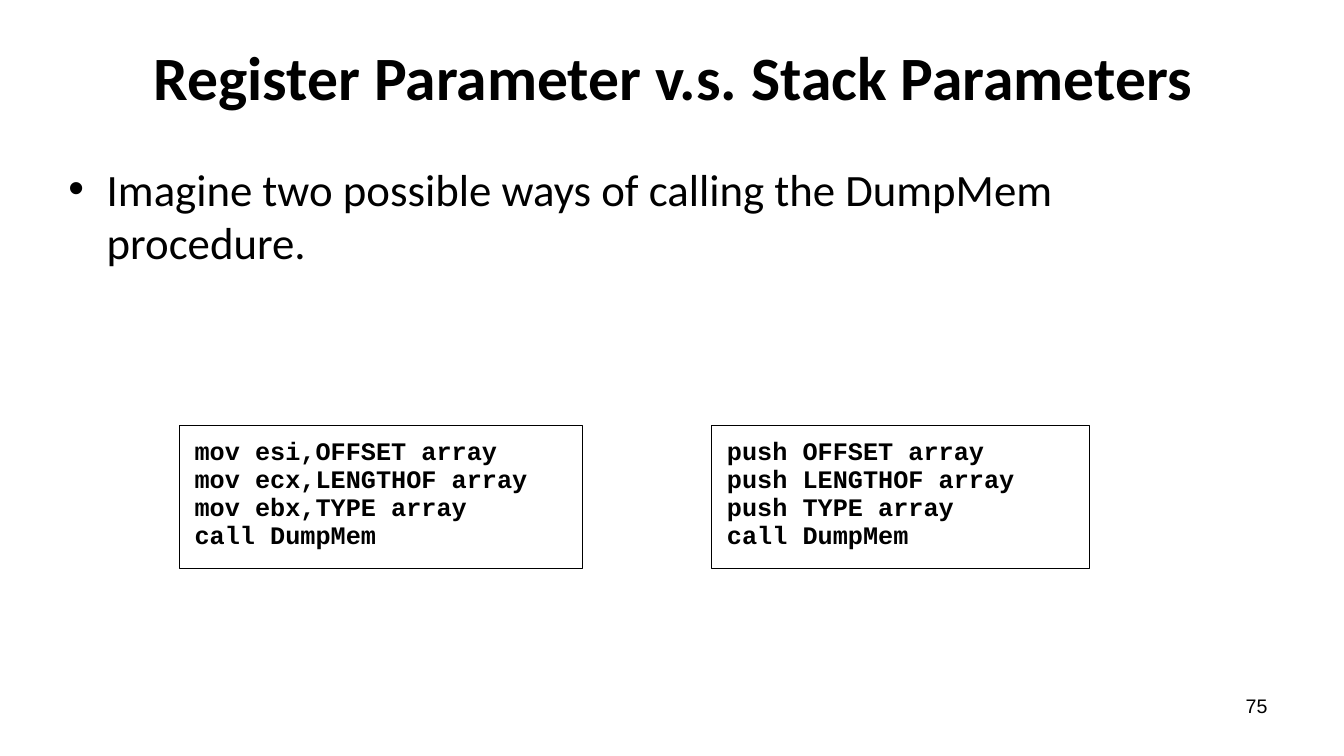
"""Build the slide comparing register parameters with stack parameters."""
from dataclasses import dataclass

from lxml.etree import SubElement
from pptx import Presentation
from pptx.dml.color import RGBColor
from pptx.enum.shapes import MSO_SHAPE
from pptx.enum.text import MSO_ANCHOR, PP_ALIGN
from pptx.oxml.ns import qn
from pptx.shapes.autoshape import Shape
from pptx.slide import Slide
from pptx.util import Inches, Pt

COLORS = {"ink": "000000"}
INK = RGBColor.from_string(COLORS["ink"])
LISTING_TOP, LISTING_HEIGHT = 4.22, 1.42


@dataclass(frozen=True)
class Label:
    text: str
    left: float
    top: float
    width: float
    height: float
    size: int
    font: str = "Calibri"
    bold: bool = False
    align: PP_ALIGN = PP_ALIGN.LEFT
    anchor: MSO_ANCHOR = MSO_ANCHOR.TOP
    bullet: bool = False


@dataclass(frozen=True)
class Listing:
    left: float
    width: float
    code: tuple[str, ...]


LABELS = (
    Label("Register Parameter v.s. Stack Parameters", 0.68, 0.13, 12, 1.25, 44,
          bold=True, align=PP_ALIGN.CENTER, anchor=MSO_ANCHOR.MIDDLE),
    Label("Imagine two possible ways of calling the DumpMem procedure.",
          0.58, 1.55, 11.95, 2.05, 32, bullet=True),
    Label("75", 9.56, 6.83, 3.11, 0.52, 14, font="Arial", align=PP_ALIGN.RIGHT),
)
LISTINGS = (
    Listing(1.78, 4, ("mov esi,OFFSET array", "mov ecx,LENGTHOF array",
                      "mov ebx,TYPE array", "call DumpMem")),
    Listing(7.06, 3.75, ("push OFFSET array", "push LENGTHOF array",
                         "push TYPE array", "call DumpMem")),
)


def style_text(shape: Shape, font: str, size: int, bold: bool, align: PP_ALIGN) -> None:
    for paragraph in shape.text_frame.paragraphs:
        paragraph.alignment = align
        for run in paragraph.runs:
            run.font.name = font
            run.font.size = Pt(size)
            run.font.bold = bold
            run.font.color.rgb = INK


def add_bullet(shape: Shape) -> None:
    properties = shape.text_frame.paragraphs[0]._p.get_or_add_pPr()
    properties.set("marL", str(Inches(0.38)))
    properties.set("indent", str(Inches(-0.38)))
    SubElement(properties, qn("a:buFont")).set("typeface", "Arial")
    SubElement(properties, qn("a:buChar")).set("char", "•")


def draw_label(slide: Slide, label: Label) -> None:
    box = slide.shapes.add_textbox(Inches(label.left), Inches(label.top),
                                   Inches(label.width), Inches(label.height))
    box.text_frame.word_wrap = True
    box.text_frame.vertical_anchor = label.anchor
    box.text_frame.text = label.text
    if label.bullet:
        add_bullet(box)
    style_text(box, label.font, label.size, label.bold, label.align)


def draw_listing(slide: Slide, listing: Listing) -> None:
    frame = slide.shapes.add_shape(
        MSO_SHAPE.RECTANGLE, Inches(listing.left), Inches(LISTING_TOP),
        Inches(listing.width), Inches(LISTING_HEIGHT))
    frame.shadow.inherit = False
    frame.fill.background()
    frame.line.color.rgb = INK
    frame.line.width = Pt(0.75)
    code = frame.text_frame
    code.word_wrap = True
    code.vertical_anchor = MSO_ANCHOR.TOP
    code.margin_left = code.margin_right = Inches(0.15)
    code.margin_top = code.margin_bottom = Inches(0.12)
    code.text = "\n".join(listing.code)
    for instruction in code.paragraphs:
        instruction.line_spacing = Pt(20)
    style_text(frame, "Courier New", 18, True, PP_ALIGN.LEFT)


def main() -> None:
    presentation = Presentation()
    presentation.slide_width = Inches(13.33)
    presentation.slide_height = Inches(7.5)
    slide = presentation.slides.add_slide(presentation.slide_layouts[6])
    for label in LABELS:
        draw_label(slide, label)
    for listing in LISTINGS:
        draw_listing(slide, listing)
    presentation.save("out.pptx")


if __name__ == "__main__":
    main()
